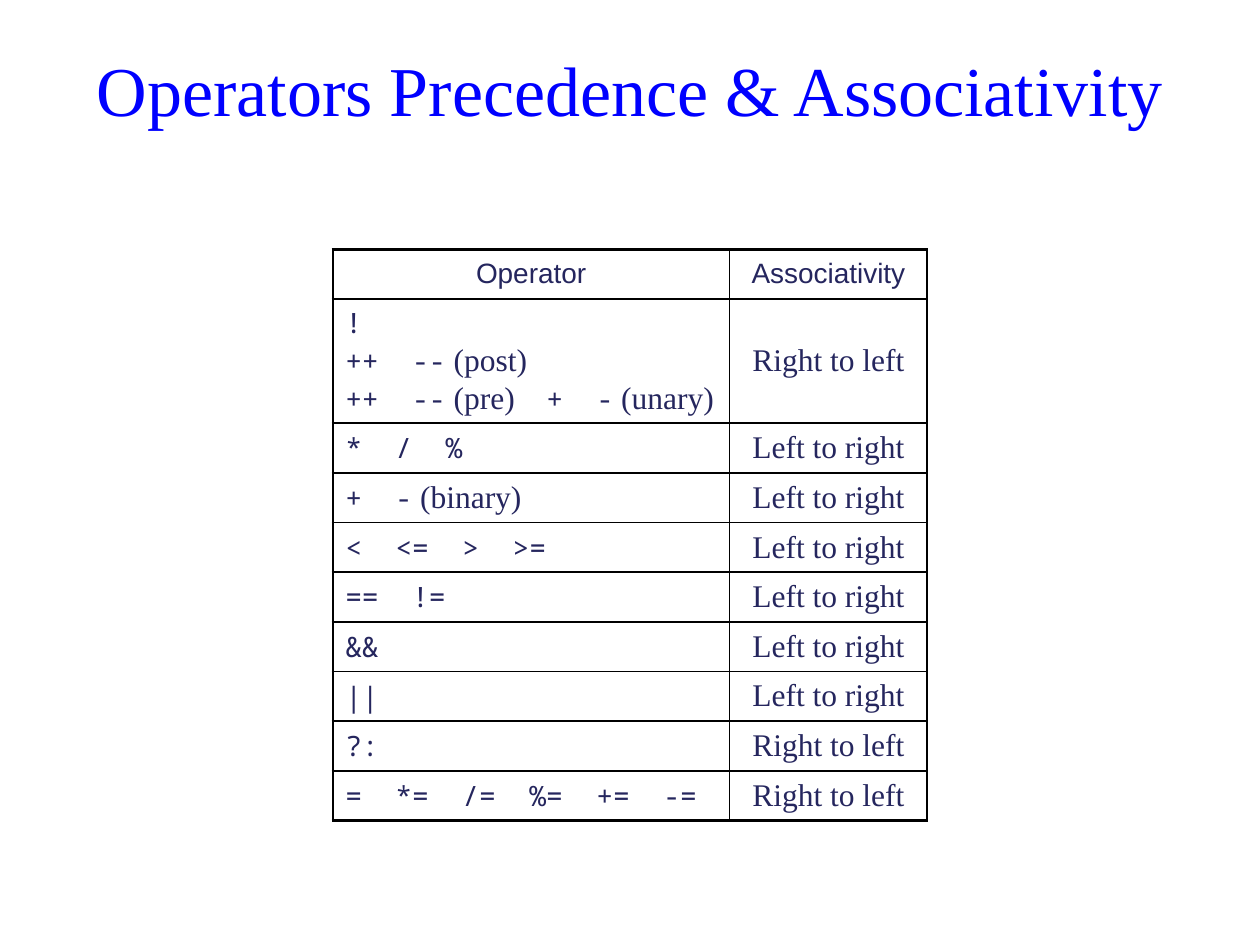
from lxml.etree import SubElement
from pptx import Presentation
from pptx.dml.color import RGBColor
from pptx.enum.text import MSO_ANCHOR, PP_ALIGN
from pptx.oxml.ns import qn
from pptx.util import Inches, Pt

# Content: a row is (operator lines, associativity); a line alternates code and prose
TITLE = "Operators Precedence & Associativity"
HEADINGS = ("Operator", "Associativity")
LEFT, RIGHT = "Left to right", "Right to left"
PRECEDENCE = [
    ([["!"], ["++  --", " (post)"], ["++  --", " (pre)    ", "+  -", " (unary)"]], RIGHT),
    ([["*  /  %"]], LEFT),
    ([["+  -", " (binary)"]], LEFT),
    ([["<  <=  >  >="]], LEFT),
    ([["==  !="]], LEFT),
    ([["&&"]], LEFT),
    ([["||"]], LEFT),
    ([["?:"]], RIGHT),
    ([["=  *=  /=  %=  +=  -="]], RIGHT),
]

# Theme: (font, size, colour) per text role, and border widths in points
INK = RGBColor(0x25, 0x26, 0x5E)
THEME = {
    "title": ("Times New Roman", 40, RGBColor(0, 0, 255)),
    "heading": ("Arial", 16, INK),
    "code": ("Noto Sans Mono", 16, INK),
    "prose": ("Times New Roman", 18, INK),
    "outer": 1.5,
    "inner": 1,
    "border": "000000",
}

# Layout in inches
TABLE_LEFT, TABLE_TOP, TABLE_HEIGHT = 2.64, 1.98, 4.53
COLUMN_WIDTHS = (3.15, 1.57)
UNARY_ROW, UNARY_HEIGHT = 1, 0.98
ROW_COUNT = len(PRECEDENCE) + 1


def style(font, role):
    font.name, size, font.color.rgb = THEME[role]
    font.size = Pt(size)
    font.bold = False


def set_borders(cell, row, column):
    outer_sides = {
        "lnL": column == 0,
        "lnR": column == len(COLUMN_WIDTHS) - 1,
        "lnT": row == 0,
        "lnB": row == ROW_COUNT - 1,
    }
    properties = cell._tc.get_or_add_tcPr()
    for side, is_outer in outer_sides.items():
        width = Pt(THEME["outer" if is_outer else "inner"])
        line = SubElement(properties, qn(f"a:{side}"), w=str(width))
        fill = SubElement(line, qn("a:solidFill"))
        SubElement(fill, qn("a:srgbClr"), val=THEME["border"])


def write_centred(cell, text, role):
    paragraph = cell.text_frame.paragraphs[0]
    paragraph.text = text
    paragraph.alignment = PP_ALIGN.CENTER
    style(paragraph.font, role)


def write_operators(cell, lines):
    frame = cell.text_frame
    for index, parts in enumerate(lines):
        paragraph = frame.add_paragraph() if index else frame.paragraphs[0]
        paragraph.alignment = PP_ALIGN.LEFT
        style(paragraph.font, "code")
        for position, part in enumerate(parts):
            run = paragraph.add_run()
            run.text = part
            style(run.font, "prose" if position % 2 else "code")


def main():
    deck = Presentation()
    deck.slide_width, deck.slide_height = Inches(10), Inches(7.5)
    slide = deck.slides.add_slide(deck.slide_layouts[5])

    # Title
    title = slide.shapes.title
    title.left, title.top = Inches(0.47), Inches(0.21)
    title.width, title.height = Inches(9.06), Inches(0.98)
    title.text_frame.text = TITLE
    title.text_frame.vertical_anchor = MSO_ANCHOR.MIDDLE
    heading = title.text_frame.paragraphs[0]
    heading.alignment = PP_ALIGN.CENTER
    style(heading.font, "title")

    # Table grid
    table = slide.shapes.add_table(
        ROW_COUNT, len(COLUMN_WIDTHS), Inches(TABLE_LEFT), Inches(TABLE_TOP),
        Inches(sum(COLUMN_WIDTHS)), Inches(TABLE_HEIGHT)).table
    table.first_row = table.horz_banding = False
    for column, width in zip(table.columns, COLUMN_WIDTHS):
        column.width = Inches(width)
    single_height = (TABLE_HEIGHT - UNARY_HEIGHT) / (ROW_COUNT - 1)
    for index, row in enumerate(table.rows):
        row.height = Inches(UNARY_HEIGHT if index == UNARY_ROW else single_height)
        for column, cell in enumerate(row.cells):
            set_borders(cell, index, column)
            cell.fill.background()
            cell.vertical_anchor = MSO_ANCHOR.MIDDLE
            cell.margin_left = cell.margin_right = Inches(0.1)
            cell.margin_top = cell.margin_bottom = Inches(0.04)

    # Table text
    for column, text in enumerate(HEADINGS):
        write_centred(table.cell(0, column), text, "heading")
    for row, (lines, associativity) in enumerate(PRECEDENCE, start=1):
        write_operators(table.cell(row, 0), lines)
        write_centred(table.cell(row, 1), associativity, "prose")

    deck.save("out.pptx")


if __name__ == "__main__":
    main()
